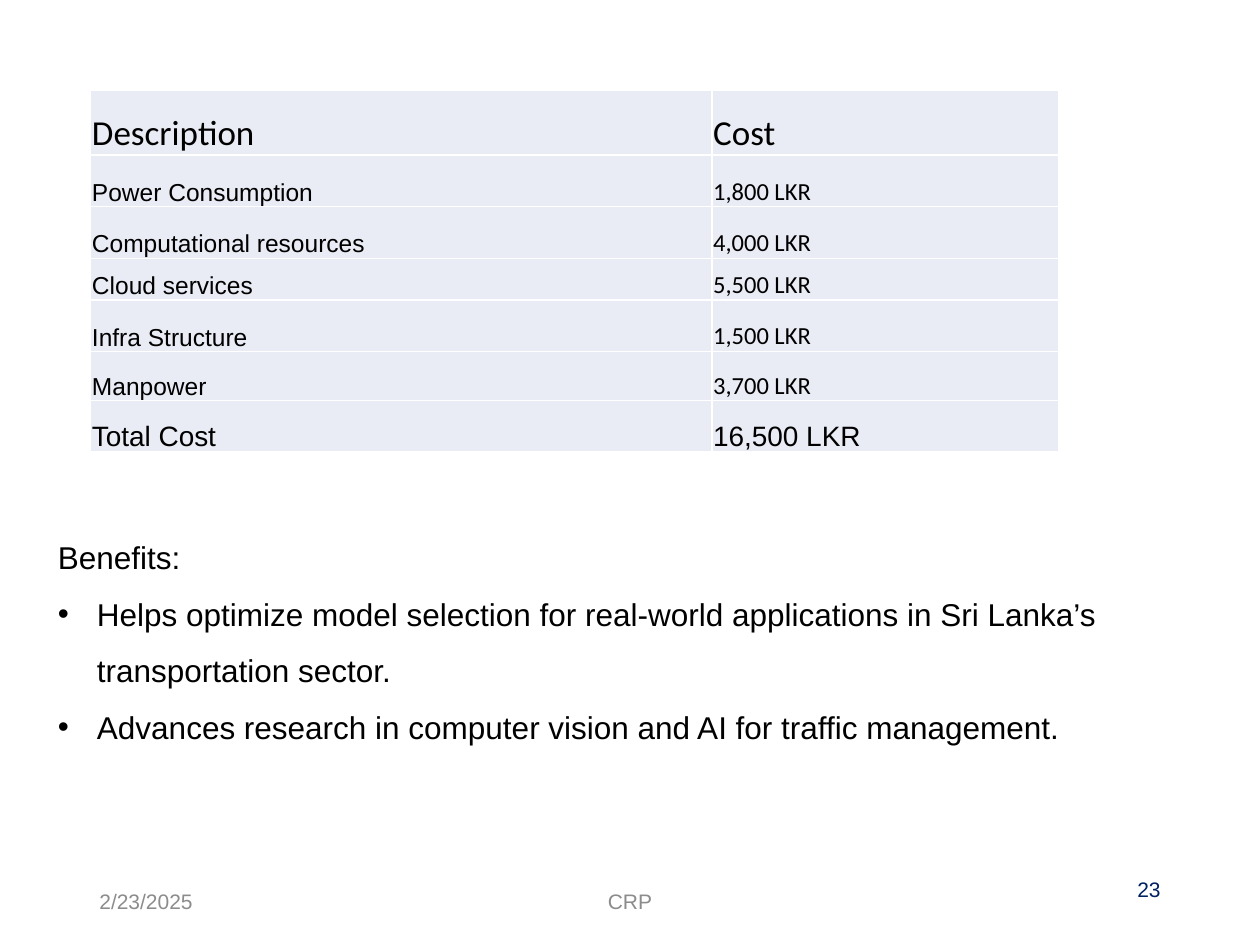
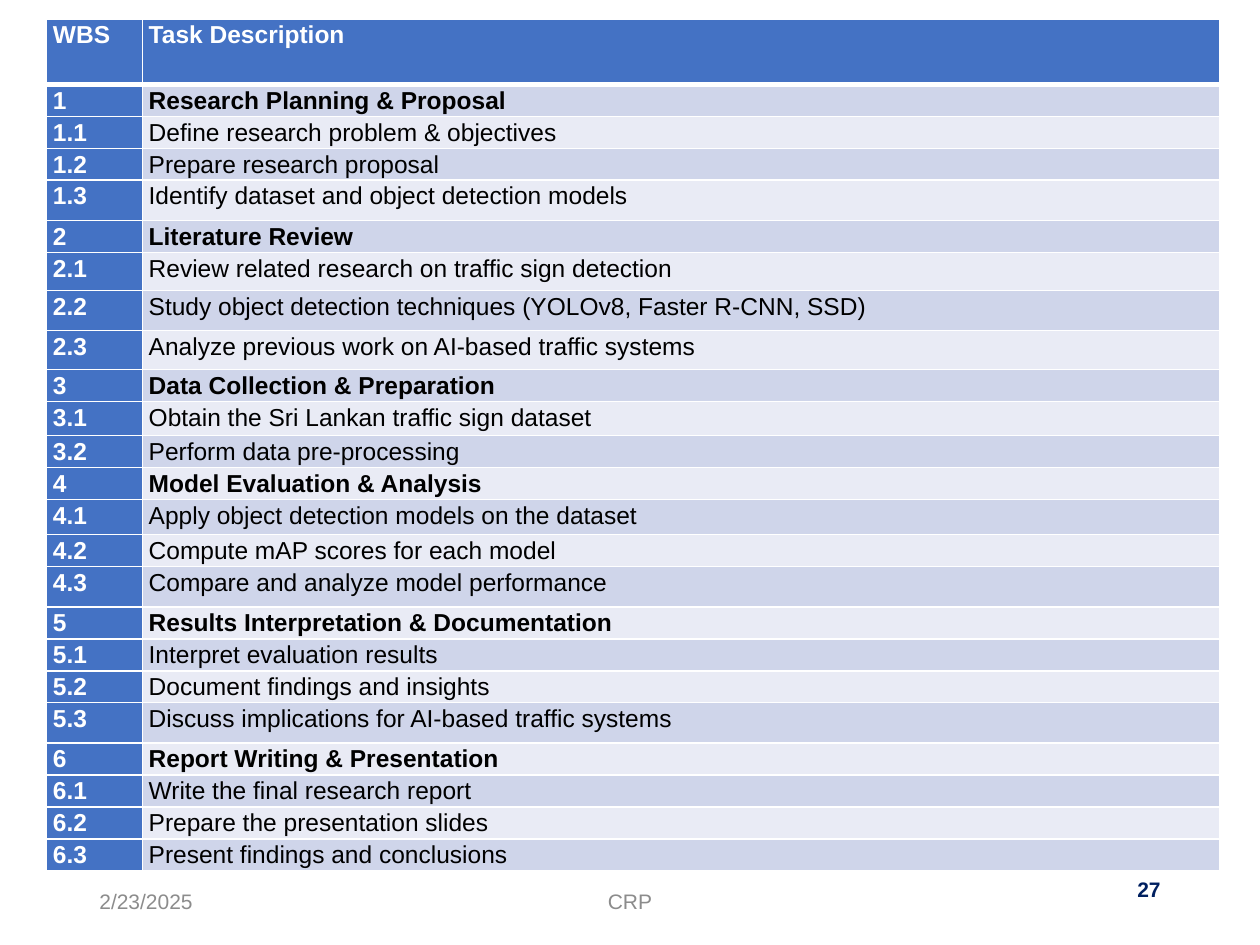
"""Build the project cost slide and the work breakdown slide."""
from dataclasses import dataclass
from typing import Any, Sequence

from lxml.etree import SubElement
from pptx import Presentation
from pptx.dml.color import RGBColor
from pptx.enum.text import MSO_ANCHOR as Anchor, MSO_AUTO_SIZE as AutoSize, PP_ALIGN as Align
from pptx.oxml.ns import qn
from pptx.util import Inches, Pt

BLACK = RGBColor(0x00, 0x00, 0x00)
WHITE = RGBColor(0xFF, 0xFF, 0xFF)
GREY = RGBColor(0x8C, 0x8C, 0x8C)
NAVY = RGBColor(0x00, 0x20, 0x60)
BLUE = RGBColor(0x44, 0x72, 0xC4)
LIGHT_BAND = RGBColor(0xE9, 0xEB, 0xF5)
DARK_BAND = RGBColor(0xCF, 0xD5, 0xEA)
ARIAL, CALIBRI = "Arial", "Calibri"
THIN_RULE, HEADER_RULE = 1, 3


@dataclass(frozen=True)
class Box:
    """A position and size in inches."""
    left: float
    top: float
    width: float
    height: float


@dataclass(frozen=True)
class FooterPart:
    """One text of the footer line."""
    text: str
    box: Box
    align: Align
    color: RGBColor = GREY
    bold: bool = False


@dataclass(frozen=True)
class CostItem:
    """One line of the cost table."""
    description: str
    cost: str
    height: float = 0.41
    size: int = 14
    description_font: str = ARIAL
    cost_font: str = CALIBRI


@dataclass(frozen=True)
class Task:
    """One line of the work breakdown structure."""
    wbs: str
    description: str
    height: float = 0.25

    @property
    def is_phase(self) -> bool:
        """Tell whether the line heads a group of tasks."""
        return "." not in self.wbs


COSTS = (
    CostItem("Description", "Cost", 0.51, 20, CALIBRI),
    CostItem("Power Consumption", "1,800 LKR"),
    CostItem("Computational resources", "4,000 LKR"),
    CostItem("Cloud services", "5,500 LKR", 0.33),
    CostItem("Infra Structure", "1,500 LKR"),
    CostItem("Manpower", "3,700 LKR", 0.39),
    CostItem("Total Cost", "16,500 LKR", size=16, cost_font=ARIAL),
)
BENEFITS = (
    "Helps optimize model selection for real-world applications in Sri Lanka’s transportation sector.",
    "Advances research in computer vision and AI for traffic management.",
)
TASKS = (
    Task("WBS", "Task Description", 0.52),
    Task("1", "Research Planning & Proposal"),
    Task("1.1", "Define research problem & objectives"),
    Task("1.2", "Prepare research proposal"),
    Task("1.3", "Identify dataset and object detection models", 0.32),
    Task("2", "Literature Review"),
    Task("2.1", "Review related research on traffic sign detection", 0.3),
    Task("2.2", "Study object detection techniques (YOLOv8, Faster R-CNN, SSD)", 0.32),
    Task("2.3", "Analyze previous work on AI-based traffic systems", 0.31),
    Task("3", "Data Collection & Preparation"),
    Task("3.1", "Obtain the Sri Lankan traffic sign dataset", 0.27),
    Task("3.2", "Perform data pre-processing"),
    Task("4", "Model Evaluation & Analysis"),
    Task("4.1", "Apply object detection models on the dataset", 0.28),
    Task("4.2", "Compute mAP scores for each model"),
    Task("4.3", "Compare and analyze model performance", 0.32),
    Task("5", "Results Interpretation & Documentation"),
    Task("5.1", "Interpret evaluation results"),
    Task("5.2", "Document findings and insights"),
    Task("5.3", "Discuss implications for AI-based traffic systems", 0.32),
    Task("6", "Report Writing & Presentation"),
    Task("6.1", "Write the final research report"),
    Task("6.2", "Prepare the presentation slides"),
    Task("6.3", "Present findings and conclusions"),
)


def write(paragraph: Any, text: str, *, size: int = 14, font: str = ARIAL,
          color: RGBColor = BLACK, bold: bool = False, align: Align = Align.LEFT,
          spacing: float = 1.0) -> None:
    """Put formatted text into a paragraph."""
    paragraph.alignment = align
    paragraph.line_spacing = spacing
    run = paragraph.add_run()
    run.text = text
    run.font.size = Pt(size)
    run.font.name = font
    run.font.bold = bold
    run.font.color.rgb = color


def place(shape: Any, box: Box) -> None:
    """Move and size a shape."""
    shape.left, shape.top = Inches(box.left), Inches(box.top)
    shape.width, shape.height = Inches(box.width), Inches(box.height)


def set_bullet(paragraph: Any, symbol: str = "", indent: float = 0) -> None:
    """Give a paragraph a hanging bullet, or none when there is no symbol."""
    paragraph.space_before = Pt(0)
    properties = paragraph._p.get_or_add_pPr()
    properties.set("marL", str(Inches(indent)))
    properties.set("indent", str(-Inches(indent)))
    if symbol:
        SubElement(properties, qn("a:buChar"), char=symbol)
    else:
        SubElement(properties, qn("a:buNone"))


def add_footer(slide: Any, number: str, bold_number: bool = False) -> None:
    """Add the date, the footer text and the page number."""
    for part in (
        FooterPart("2/23/2025", Box(0.69, 6.95, 2.25, 0.4), Align.LEFT),
        FooterPart("CRP", Box(3.31, 6.95, 3.38, 0.4), Align.CENTER),
        FooterPart(number, Box(7.06, 6.76, 2.25, 0.6), Align.RIGHT, NAVY, bold_number),
    ):
        holder = slide.shapes.add_textbox(0, 0, 0, 0)
        place(holder, part.box)
        frame = holder.text_frame
        frame.word_wrap = True
        frame.vertical_anchor = Anchor.MIDDLE
        write(frame.paragraphs[0], part.text, size=12, color=part.color,
              bold=part.bold, align=part.align)


def add_grid(slide: Any, left: float, top: float, widths: Sequence[float],
             heights: Sequence[float]) -> Any:
    """Add a plain table with the given columns and rows."""
    table = slide.shapes.add_table(
        len(heights), len(widths), Inches(left), Inches(top),
        Inches(sum(widths)), Inches(sum(heights))).table
    table.first_row = table.horz_banding = False
    for column, width in zip(table.columns, widths):
        column.width = Inches(width)
    for row, height in zip(table.rows, heights):
        row.height = Inches(height)
    return table


def style_cell(cell: Any, fill: RGBColor, *, side: float, top: float,
               anchor: Anchor = Anchor.TOP, rule_above: int = THIN_RULE,
               rule_below: int = THIN_RULE) -> None:
    """Set the margins, white rules and fill of a cell."""
    cell.margin_left = cell.margin_right = Inches(side)
    cell.margin_top, cell.margin_bottom = Inches(top), 0
    cell.vertical_anchor = anchor
    properties = cell._tc.get_or_add_tcPr()
    rules = {"a:lnL": THIN_RULE, "a:lnR": THIN_RULE, "a:lnT": rule_above, "a:lnB": rule_below}
    for edge, width in rules.items():
        line = SubElement(properties, qn(edge), w=str(Pt(width)))
        SubElement(SubElement(line, qn("a:solidFill")), qn("a:srgbClr"), val=str(WHITE))
    cell.fill.solid()
    cell.fill.fore_color.rgb = fill


def build_cost_slide(deck: Any) -> None:
    """Add the slide with the costs and the benefits."""
    slide = deck.slides.add_slide(deck.slide_layouts[1])
    heading = slide.shapes.title._element
    heading.getparent().remove(heading)

    costs = add_grid(slide, 0.72, 0.72, (4.93, 2.75), [item.height for item in COSTS])
    for row, item in enumerate(COSTS):
        entries = ((item.description, item.description_font), (item.cost, item.cost_font))
        for column, (text, font) in enumerate(entries):
            cell = costs.cell(row, column)
            style_cell(cell, LIGHT_BAND, side=0.01, top=0.01, anchor=Anchor.BOTTOM)
            write(cell.text_frame.paragraphs[0], text, size=item.size, font=font)

    add_footer(slide, "23")

    benefits = slide.placeholders[1]
    place(benefits, Box(0.36, 4.22, 8.96, 1.71))
    frame = benefits.text_frame
    frame.auto_size = AutoSize.NONE
    intro = frame.paragraphs[0]
    set_bullet(intro)
    write(intro, "Benefits:", size=18)
    for benefit in BENEFITS:
        point = frame.add_paragraph()
        set_bullet(point, "•", 0.31)
        write(point, benefit, size=18, spacing=1.5)


def build_task_slide(deck: Any) -> None:
    """Add the slide with the work breakdown structure."""
    slide = deck.slides.add_slide(deck.slide_layouts[6])
    add_footer(slide, "27", bold_number=True)
    tasks = add_grid(slide, 0.37, 0.15, (0.76, 8.55), [task.height for task in TASKS])
    for row, task in enumerate(TASKS):
        band = DARK_BAND if row % 2 else LIGHT_BAND
        for column, text in enumerate((task.wbs, task.description)):
            is_header = row == 0 or column == 0
            cell = tasks.cell(row, column)
            style_cell(cell, BLUE if is_header else band, side=0.05, top=0.02,
                       rule_above=HEADER_RULE if row == 1 else THIN_RULE,
                       rule_below=HEADER_RULE if row == 0 else THIN_RULE)
            write(cell.text_frame.paragraphs[0], text, color=WHITE if is_header else BLACK,
                  bold=is_header or task.is_phase)


def main() -> None:
    """Build and save the presentation."""
    deck = Presentation()
    deck.slide_width, deck.slide_height = Inches(10), Inches(7.5)
    build_cost_slide(deck)
    build_task_slide(deck)
    deck.save("out.pptx")


if __name__ == "__main__":
    main()
